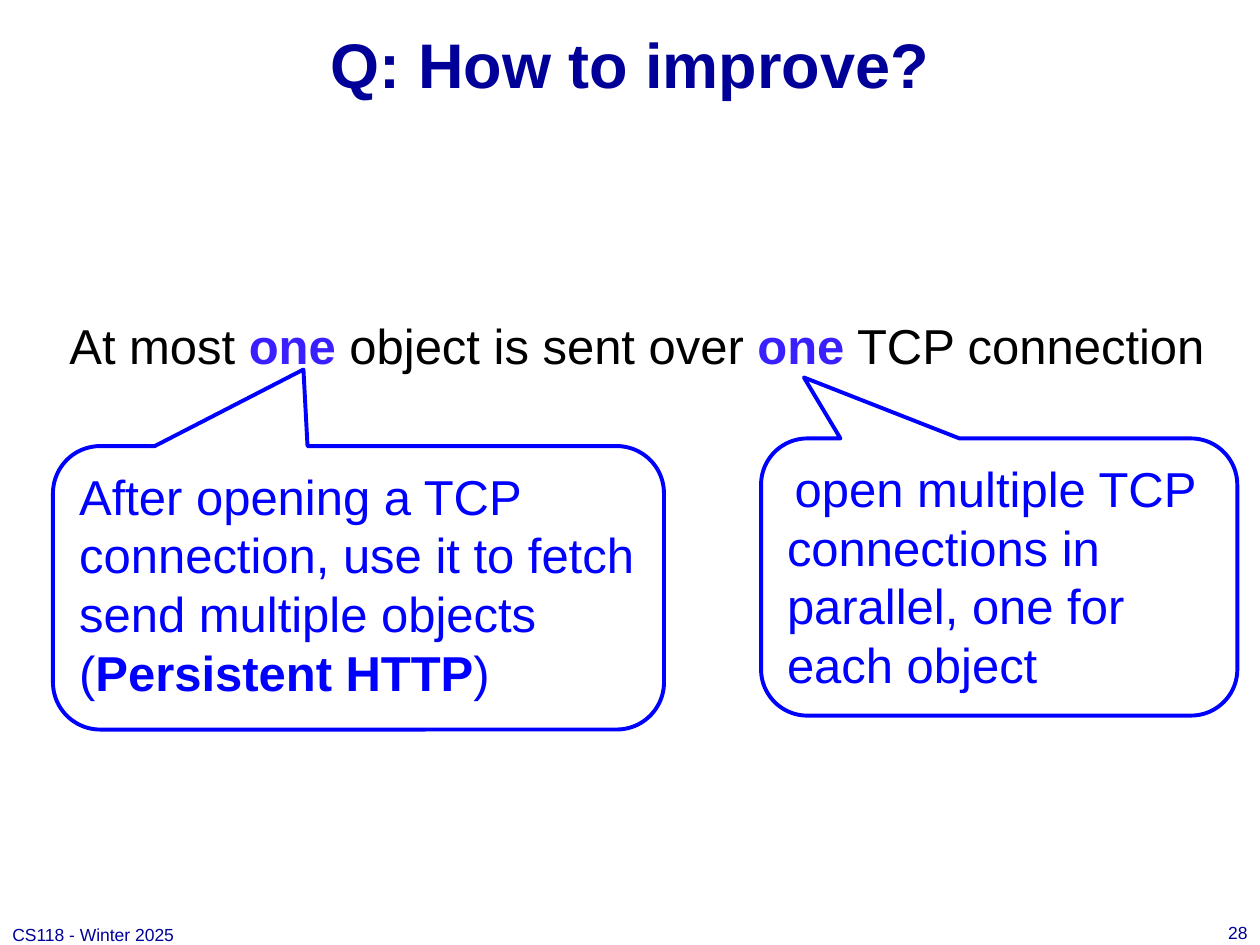
from pptx import Presentation, util as u
from pptx.dml.color import RGBColor
from pptx.enum import shapes, text
from pptx.oxml.ns import qn
from lxml import etree

FONT = "Arial"
NAVY, BLUE, VIOLET, BLACK = "000099", "0000FF", "3A1FFF", "000000"


def color(value):
    return RGBColor.from_string(value)


def place(shape, left, top, width, height):
    shape.left, shape.top = u.Inches(left), u.Inches(top)
    shape.width, shape.height = u.Inches(width), u.Inches(height)


def add_runs(paragraph, runs, align=text.PP_ALIGN.LEFT):
    """Add runs given as (words, size, colour, bold)."""
    paragraph.alignment = align
    for words, size, shade, bold in runs:
        run = paragraph.add_run()
        run.text = words
        run.font.name = FONT
        run.font.size = u.Pt(size)
        run.font.bold = bold
        run.font.color.rgb = color(shade)


def set_title(slide, words):
    title = slide.shapes.title
    place(title, 0, 0, 10, 1)
    frame = title.text_frame
    frame.auto_size = text.MSO_AUTO_SIZE.NONE
    frame.vertical_anchor = text.MSO_ANCHOR.MIDDLE
    add_runs(frame.paragraphs[0], [(words, 36, NAVY, True)], text.PP_ALIGN.CENTER)


def set_statement(slide, runs):
    body = slide.placeholders[1]
    place(body, 0.18, 1.02, 9.75, 6.27)
    frame = body.text_frame
    frame.auto_size = text.MSO_AUTO_SIZE.NONE
    frame.vertical_anchor = text.MSO_ANCHOR.TOP
    frame.margin_left = frame.margin_right = frame.margin_bottom = 0
    frame.margin_top = u.Inches(1.48)
    paragraph = frame.paragraphs[0]
    paragraph.space_before = u.Pt(0)
    paragraph.line_spacing = 1.0
    add_runs(paragraph, runs, text.PP_ALIGN.CENTER)
    properties = paragraph._p.get_or_add_pPr()
    properties.set("marL", "0")
    properties.set("indent", "0")
    etree.SubElement(properties, qn("a:buNone"))


def add_footer(slide, box, words, align):
    footer = slide.shapes.add_textbox(*map(u.Inches, box))
    frame = footer.text_frame
    frame.word_wrap = True
    frame.auto_size = text.MSO_AUTO_SIZE.NONE
    frame.margin_top = frame.margin_bottom = 0
    frame.vertical_anchor = text.MSO_ANCHOR.MIDDLE
    add_runs(frame.paragraphs[0], [(words, 10, NAVY, False)], align)


def add_callout(slide, box, tip, runs, right_margin=0.1):
    """Add a rounded callout; tip is the pointer's offset from the centre."""
    callout = slide.shapes.add_shape(
        shapes.MSO_SHAPE.ROUNDED_RECTANGULAR_CALLOUT, *map(u.Inches, box))
    for index, value in enumerate((*tip, 0.167)):
        callout.adjustments[index] = value
    callout.shadow.inherit = False
    callout.fill.background()
    callout.line.color.rgb = color(BLUE)
    callout.line.width = u.Pt(2.25)
    frame = callout.text_frame
    frame.word_wrap = True
    frame.vertical_anchor = text.MSO_ANCHOR.TOP
    frame.margin_right = u.Inches(right_margin)
    add_runs(frame.paragraphs[0], runs)


def main():
    presentation = Presentation()
    presentation.slide_width = u.Inches(10)
    presentation.slide_height = u.Inches(7.5)
    slide = presentation.slides.add_slide(presentation.slide_layouts[1])

    set_title(slide, "Q: How to improve?")
    set_statement(slide, [
        ("At most ", 28, BLACK, False),
        ("one", 28, VIOLET, True),
        (" object is sent over ", 28, BLACK, False),
        ("one", 28, VIOLET, True),
        (" TCP connection", 28, BLACK, False),
    ])
    add_footer(slide, (0, 7.33, 1.6, 0.17), "CS118 - Winter 2025", text.PP_ALIGN.LEFT)
    add_footer(slide, (9.5, 7.3, 0.5, 0.2), "28", text.PP_ALIGN.RIGHT)
    add_callout(slide, (6.04, 3.48, 3.78, 2.2), (-0.41, -0.72), [
        (" ", 16, BLUE, False),
        ("open multiple TCP connections in parallel, one for each object",
         28, BLUE, False),
    ], right_margin=0)
    add_callout(slide, (0.42, 3.54, 4.85, 2.25), (-0.09, -0.77), [
        ("After opening a TCP connection, use it to fetch send multiple objects (",
         28, BLUE, False),
        ("Persistent HTTP", 28, BLUE, True),
        (")", 28, BLUE, False),
    ])
    presentation.save("out.pptx")


if __name__ == "__main__":
    main()
